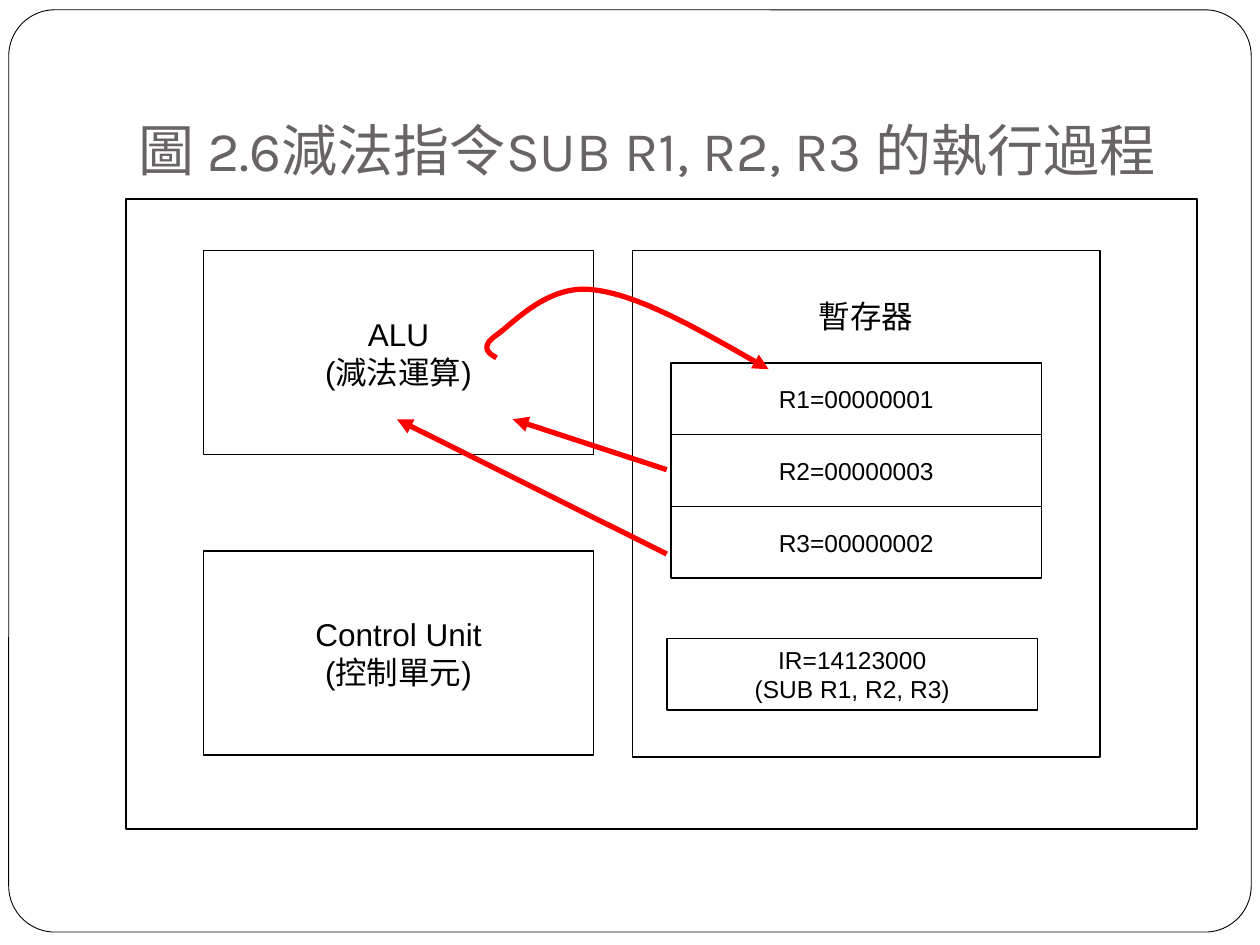
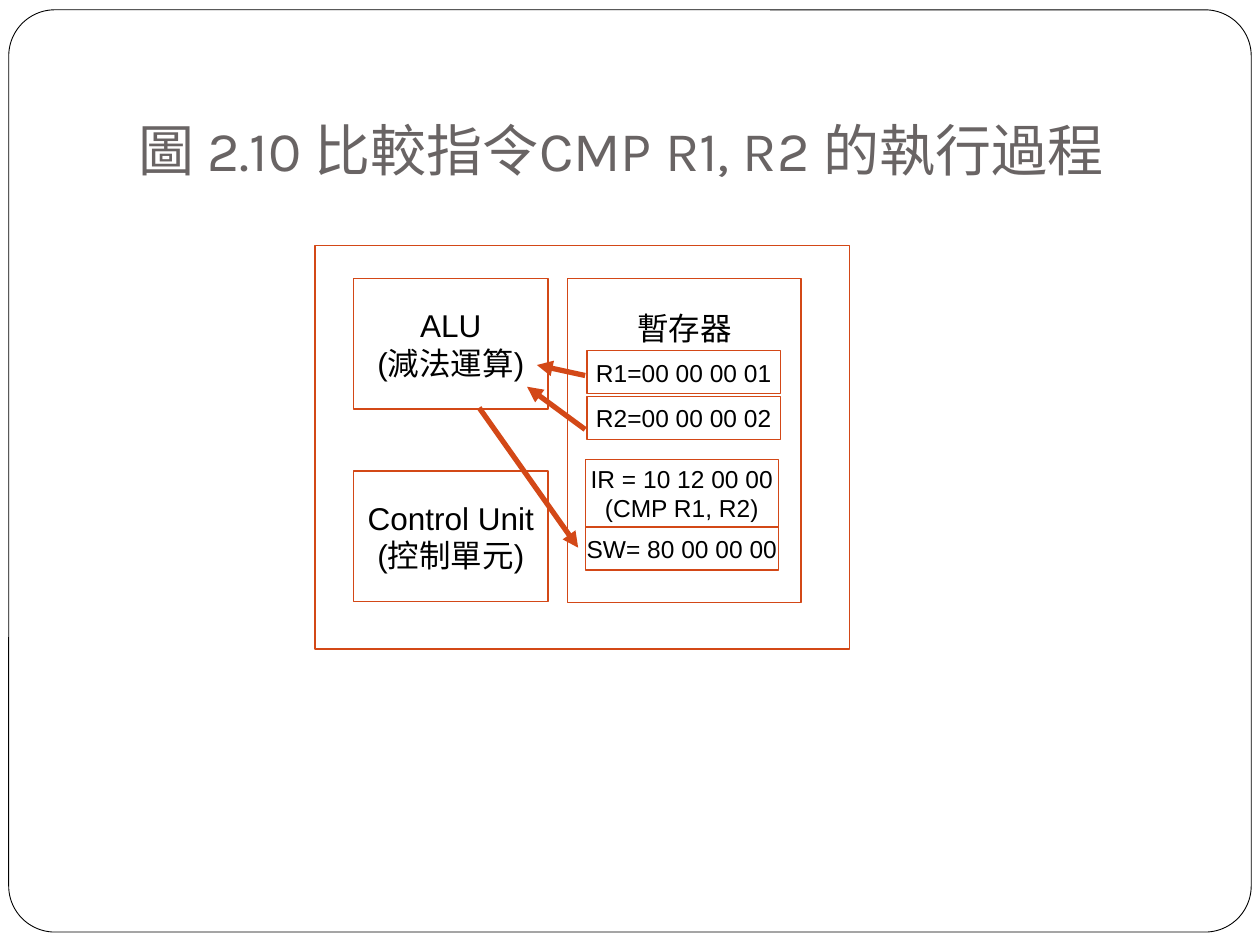
"""Builds two slides on how the SUB and CMP instructions run in a processor."""
from dataclasses import dataclass

import lxml.etree
import pptx
import pptx.dml.color
import pptx.enum.shapes
import pptx.enum.text
import pptx.oxml.ns
import pptx.util

Pt = pptx.util.Pt
qn = pptx.oxml.ns.qn
RECTANGLE = pptx.enum.shapes.MSO_SHAPE.RECTANGLE
ANCHOR = pptx.enum.text.MSO_ANCHOR
ALIGN = pptx.enum.text.PP_ALIGN

COLORS = {"paper": "FFFFFF", "ink": "000000", "title": "696464",
          "signal": "FF0000", "accent": "D34817"}
TITLE_FONT, LABEL_FONT = "Karla", "Arial"
UNIT_SIZE, REGISTER_SIZE = 18, 14
ALU = ("ALU", "(減法運算)")
CONTROL_UNIT = ("Control Unit", "(控制單元)")
REGISTERS = ("暫存器",)

Point = tuple[float, float]


@dataclass(frozen=True)
class Block:
    left: float
    top: float
    width: float
    height: float
    lines: tuple[str, ...] = ()
    size: int = UNIT_SIZE
    heading_gap: float | None = None


@dataclass(frozen=True)
class Arrow:
    start: Point
    end: Point


@dataclass(frozen=True)
class Diagram:
    title: str
    outline: str
    signal: str
    blocks: list[Block]
    arrows: list[Arrow]
    result_curve: tuple[Point, ...] = ()


def rgb(name: str) -> pptx.dml.color.RGBColor:
    return pptx.dml.color.RGBColor.from_string(COLORS[name])


def add_text(paragraph, text: str, font: str, size: float, color: str) -> None:
    run = paragraph.add_run()
    run.text = text
    run.font.name = font
    run.font.size = Pt(size)
    run.font.color.rgb = rgb(color)


def style_line(shape, color: str, width: float) -> None:
    shape.line.color.rgb = rgb(color)
    shape.line.width = Pt(width)


def add_arrowhead(shape) -> None:
    line = shape.element.spPr.find(qn("a:ln"))
    lxml.etree.SubElement(line, qn("a:tailEnd"), type="triangle")


def draw_block(shapes, block: Block, outline: str) -> None:
    box = shapes.add_shape(RECTANGLE, Pt(block.left), Pt(block.top),
                           Pt(block.width), Pt(block.height))
    box.shadow.inherit = False
    box.fill.background()
    style_line(box, outline, 0.75)
    frame = box.text_frame
    frame.word_wrap = False
    frame.vertical_anchor = ANCHOR.MIDDLE
    if block.heading_gap is not None:
        frame.vertical_anchor = ANCHOR.TOP
        frame.margin_top = Pt(block.heading_gap)
    for index, line in enumerate(block.lines):
        paragraph = frame.add_paragraph() if index else frame.paragraphs[0]
        paragraph.alignment = ALIGN.CENTER
        add_text(paragraph, line, LABEL_FONT, block.size, "ink")


def draw_arrow(shapes, arrow: Arrow, color: str) -> None:
    connector = shapes.add_connector(
        pptx.enum.shapes.MSO_CONNECTOR.STRAIGHT,
        *(Pt(value) for value in arrow.start + arrow.end))
    style_line(connector, color, 3)
    add_arrowhead(connector)
    lxml.etree.SubElement(connector.element.spPr, qn("a:effectLst"))


def draw_curve(shapes, points: tuple[Point, ...], color: str) -> None:
    start, *controls = [(Pt(x), Pt(y)) for x, y in points]
    builder = shapes.build_freeform(*start)
    builder.add_line_segments(controls, close=False)
    curve = builder.convert_to_shape()
    outline = curve.element.spPr.find(".//" + qn("a:path"))
    segments = outline.findall(qn("a:lnTo"))
    for first in range(0, len(segments), 3):
        bezier = lxml.etree.SubElement(outline, qn("a:cubicBezTo"))
        for segment in segments[first:first + 3]:
            bezier.append(segment[0])
            outline.remove(segment)
    curve.shadow.inherit = False
    curve.fill.background()
    style_line(curve, color, 3)
    add_arrowhead(curve)


def prepare_layout(layout) -> None:
    title = layout.placeholders[0]
    title.left, title.top, title.width, title.height = Pt(72), Pt(21.6), Pt(612), Pt(90)
    frame = title.text_frame
    frame.vertical_anchor = ANCHOR.BOTTOM
    frame.margin_left = frame.margin_right = frame.margin_bottom = Pt(7.2)
    frame.margin_top = Pt(3.6)


def move_border_to_master(slide, master) -> None:
    border = slide.shapes.add_shape(pptx.enum.shapes.MSO_SHAPE.ROUNDED_RECTANGLE,
                                    Pt(5), Pt(5.6), Pt(710), Pt(527))
    border.adjustments[0] = 0.05
    border.shadow.inherit = False
    border.fill.solid()
    border.fill.fore_color.rgb = rgb("paper")
    style_line(border, "ink", 0.5)
    border.element.nvSpPr.cNvPr.set("id", "100")
    master.shapes.element.insert(2, border.element)


def draw_diagram(slide, diagram: Diagram) -> None:
    frame = slide.shapes.title.text_frame
    frame.auto_size = pptx.enum.text.MSO_AUTO_SIZE.NONE
    heading = frame.paragraphs[0]
    heading.alignment = ALIGN.LEFT
    add_text(heading, diagram.title, TITLE_FONT, 32, "title")
    shapes = slide.shapes.add_group_shape().shapes
    for block in diagram.blocks:
        draw_block(shapes, block, diagram.outline)
    for arrow in diagram.arrows:
        draw_arrow(shapes, arrow, diagram.signal)
    if diagram.result_curve:
        draw_curve(shapes, diagram.result_curve, diagram.signal)


def register(left: float, top: float, width: float, height: float, *lines: str) -> Block:
    return Block(left, top, width, height, lines, REGISTER_SIZE)


SUBTRACT = Diagram(
    "圖 2.6減法指令SUB R1, R2, R3 的執行過程", "ink", "signal",
    [Block(72, 113.8, 612, 360),
     Block(116.4, 143.2, 222.6, 116.6, ALU),
     Block(116.4, 314.8, 222.6, 116.6, CONTROL_UNIT),
     Block(361.4, 143.2, 267.2, 289.4, REGISTERS, heading_gap=26.5),
     *(register(383.5, 207.4 + 41 * row, 211.6, 41, value) for row, value in
       enumerate(("R1=00000001", "R2=00000003", "R3=00000002"))),
     register(381.2, 364.8, 211.6, 41, "IR=14123000", "(SUB R1, R2, R3)")],
    [Arrow((381, 316.6), (226.8, 239.6)), Arrow((381, 268.4), (293, 239.6))],
    ((283.7, 204.5), (278.6, 201.6), (274.3, 198), (283.7, 191.5),
     (293, 185), (313.2, 162), (339.1, 165.6),
     (364.8, 168.5), (402.5, 190), (439.2, 211)))

COMPARE = Diagram(
    "圖 2.10 比較指令CMP R1, R2 的執行過程", "accent", "accent",
    [Block(180, 140.5, 305.4, 230.4),
     Block(202, 159.2, 111.2, 74.6, ALU),
     Block(202, 269.2, 111.2, 74.6, CONTROL_UNIT),
     Block(324.4, 159.2, 133.4, 185, REGISTERS, heading_gap=17.5),
     *(register(335.5, 200.4 + 26.2 * row, 110.4, 24.6, value) for row, value in
       enumerate(("R1=00 00 00 01", "R2=00 00 00 02"))),
     register(334.4, 262.6, 110.4, 38.6, "IR = 10 12 00 00", "(CMP R1, R2)"),
     register(334.4, 301.2, 110.4, 24.6, "SW= 80 00 00 00")],
    [Arrow((334.4, 245.4), (301.2, 221)), Arrow((334.4, 214.6), (306.8, 208.6)),
     Arrow((273.8, 233), (330.4, 313))])


def main() -> None:
    deck = pptx.Presentation()
    deck.slide_width, deck.slide_height = Pt(720), Pt(540)
    layout = deck.slide_layouts.get_by_name("Title Only")
    prepare_layout(layout)
    for index, diagram in enumerate((SUBTRACT, COMPARE)):
        slide = deck.slides.add_slide(layout)
        if index == 0:
            move_border_to_master(slide, deck.slide_master)
        draw_diagram(slide, diagram)
    deck.save("out.pptx")


if __name__ == "__main__":
    main()
